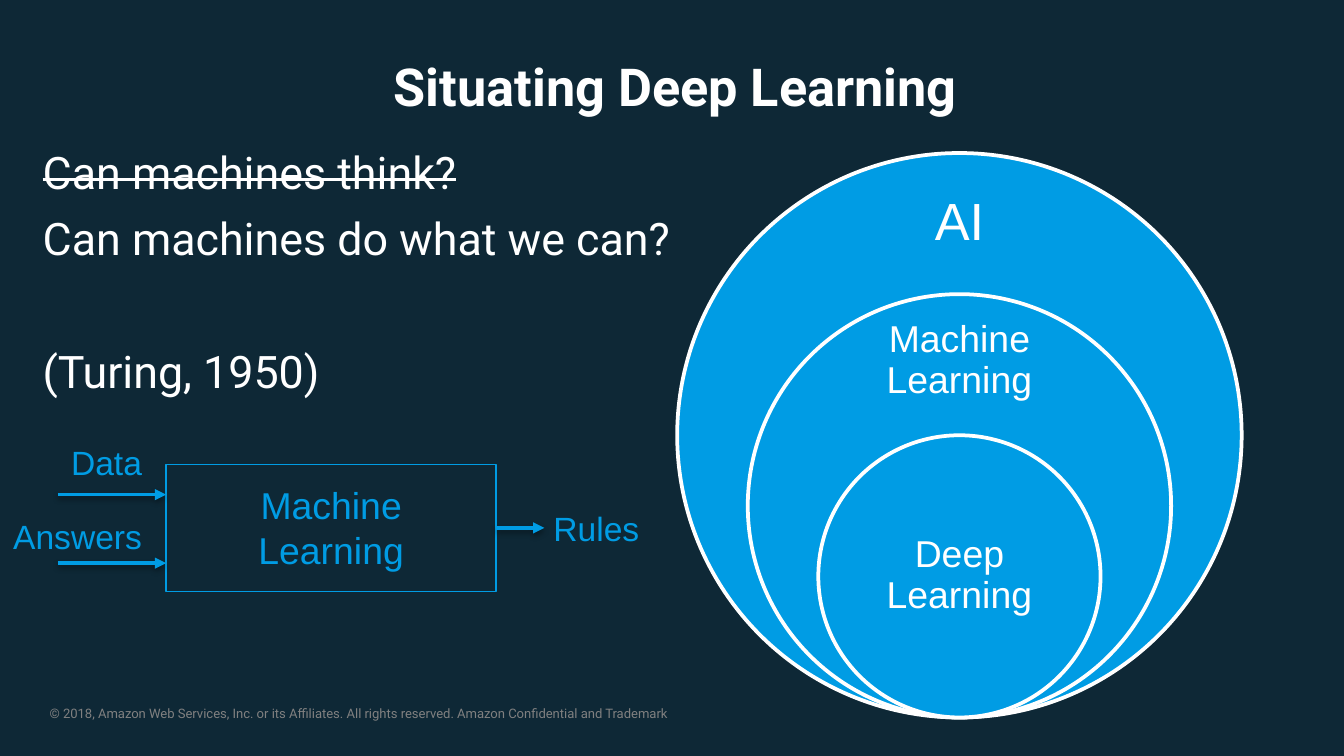
from dataclasses import dataclass

from lxml import etree
from pptx import Presentation
from pptx.dml.color import RGBColor
from pptx.enum.shapes import MSO_CONNECTOR, MSO_SHAPE
from pptx.enum.text import MSO_ANCHOR, PP_ALIGN
from pptx.oxml import parse_xml
from pptx.oxml.ns import nsdecls, qn
from pptx.util import Pt

ELLIPSE, RECT = MSO_SHAPE.OVAL, MSO_SHAPE.RECTANGLE
STRAIGHT = MSO_CONNECTOR.STRAIGHT
LEFT, CENTER = PP_ALIGN.LEFT, PP_ALIGN.CENTER
TOP, MIDDLE = MSO_ANCHOR.TOP, MSO_ANCHOR.MIDDLE
RIGHT_SIDE = 3
NAVY, BLUE, WHITE, GRAY = "0E2836", "009CE4", "FFFFFF", "808080"
CIRCLE_CENTER, CIRCLE_BOTTOM = 514, 384.4
SHADOW = (
    f'<a:effectLst {nsdecls("a")}><a:outerShdw blurRad="{Pt(3.1)}" dist="{Pt(1.6)}" '
    'dir="5400000" rotWithShape="0"><a:srgbClr val="000000"><a:alpha val="38000"/>'
    "</a:srgbClr></a:outerShdw></a:effectLst>"
)


@dataclass
class Ring:
    text: str
    diameter: float
    text_top: float
    text_height: float
    size: float
    inset: float


@dataclass
class Arrow:
    x1: float
    x2: float
    y: float


@dataclass
class Label:
    text: str
    x: float
    y: float
    width: float


RINGS = [
    Ring("AI", 302.4, 97.2, 45.4, 28, 15.8),
    Ring("Machine Learning", 226.8, 172.1, 42.5, 20, 11.5),
    Ring("Deep Learning", 151.2, 270.7, 75.6, 20, 11.5),
]
INPUTS = [Arrow(31, 89, 265), Arrow(31, 89, 301.7)]
OUTPUT = Arrow(265.7, 291.6, 282.8)
LABELS = [
    Label("Data", 31, 233.3, 52.6),
    Label("Answers", 0, 272.9, 84.2),
    Label("Rules", 289.4, 268.6, 61.2),
]


def color(value: str) -> RGBColor:
    return RGBColor.from_string(value)


def write(sp, text, *, size, fill=WHITE, font="Arial", bold=False, align=LEFT,
          anchor=TOP, inset=None, wrap=True, spacing=None):
    tf = sp.text_frame
    tf.word_wrap = wrap
    tf.vertical_anchor = anchor
    if inset is not None:
        tf.margin_left = tf.margin_right = tf.margin_top = tf.margin_bottom = Pt(inset)
    for i, line in enumerate(text.split("\n")):
        p = tf.paragraphs[0] if i == 0 else tf.add_paragraph()
        p.alignment = align
        p.line_spacing = spacing
        r = p.add_run()
        r.text = line
        r.font.size = Pt(size)
        r.font.name = font
        r.font.bold = bold
        r.font.color.rgb = color(fill)
    return tf.paragraphs


def add_text(slide, text: str, x: float, y: float, w: float, h: float, **fmt):
    sp = slide.shapes.add_textbox(Pt(x), Pt(y), Pt(w), Pt(h))
    return write(sp, text, **fmt)


def add_outlined(slide, kind, x: float, y: float, w: float, h: float,
                 fill: str, line: str, width: float):
    sp = slide.shapes.add_shape(kind, Pt(x), Pt(y), Pt(w), Pt(h))
    sp.shadow.inherit = False
    sp.fill.solid()
    sp.fill.fore_color.rgb = color(fill)
    sp.line.color.rgb = color(line)
    sp.line.width = Pt(width)
    return sp


def add_ring(slide, ring: Ring):
    d = ring.diameter
    add_outlined(slide, ELLIPSE, CIRCLE_CENTER - d / 2, CIRCLE_BOTTOM - d, d, d,
                 BLUE, WHITE, 2)
    add_text(slide, ring.text, CIRCLE_CENTER - 53, ring.text_top, 106, ring.text_height,
             size=ring.size, align=CENTER, anchor=MIDDLE, inset=ring.inset, spacing=0.9)


def add_arrow(slide, arrow: Arrow):
    cxn = slide.shapes.add_connector(STRAIGHT, Pt(arrow.x1), Pt(arrow.y),
                                     Pt(arrow.x2), Pt(arrow.y))
    cxn.line.color.rgb = color(BLUE)
    cxn.line.width = Pt(2)
    etree.SubElement(cxn.line._get_or_add_ln(), qn("a:tailEnd"), type="triangle")
    cxn._element.spPr.append(parse_xml(SHADOW))
    return cxn


def main():
    prs = Presentation()
    prs.slide_width, prs.slide_height = Pt(720), Pt(405)
    slide = prs.slides.add_slide(prs.slide_layouts[5])
    slide.background.fill.solid()
    slide.background.fill.fore_color.rgb = color(NAVY)

    add_text(slide, "© 2018, Amazon Web Services, Inc. or its Affiliates. All rights reserved. "
             "Amazon Confidential and Trademark", 26.6, 378, 350, 8.6,
             size=7, fill=GRAY, font="Roboto", inset=0, wrap=False)

    title = slide.shapes.title
    title.left, title.top, title.width, title.height = Pt(26.6), Pt(9.4), Pt(670.3), Pt(72.7)
    write(title, "Situating Deep Learning", size=28, font="Roboto", bold=True,
          align=CENTER, anchor=MIDDLE)

    for ring in RINGS:
        add_ring(slide, ring)

    question, _, source = add_text(
        slide, "Can machines think?\nCan machines do what we can?\n(Turing, 1950)",
        15.8, 59.8, 356.4, 164.2, size=24, font="Roboto", anchor=MIDDLE, spacing=Pt(35.6))
    question.runs[0]._r.get_or_add_rPr().set("strike", "sngStrike")
    source.space_before = Pt(35.6)

    box = add_outlined(slide, RECT, 89, 248.8, 176.7, 68, NAVY, BLUE, 0.75)
    add_text(slide, "Machine Learning", 98.6, 254.9, 157.7, 55.4,
             size=20, fill=BLUE, align=CENTER)
    for arrow in INPUTS:
        add_arrow(slide, arrow)
    add_arrow(slide, OUTPUT).begin_connect(box, RIGHT_SIDE)
    for label in LABELS:
        add_text(slide, label.text, label.x, label.y, label.width, 28.8,
                 size=18, fill=BLUE, wrap=False)

    prs.save("out.pptx")


if __name__ == "__main__":
    main()
